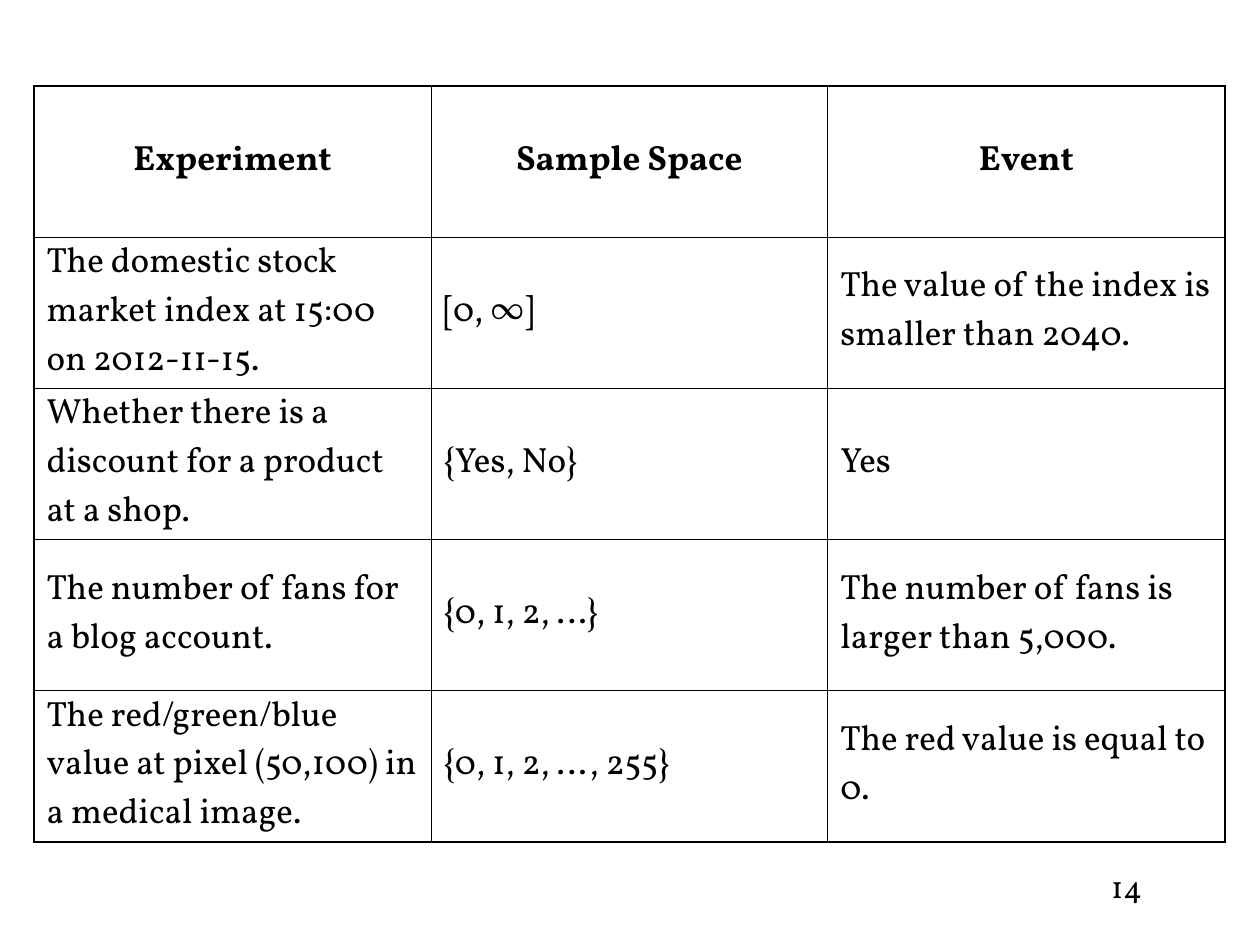
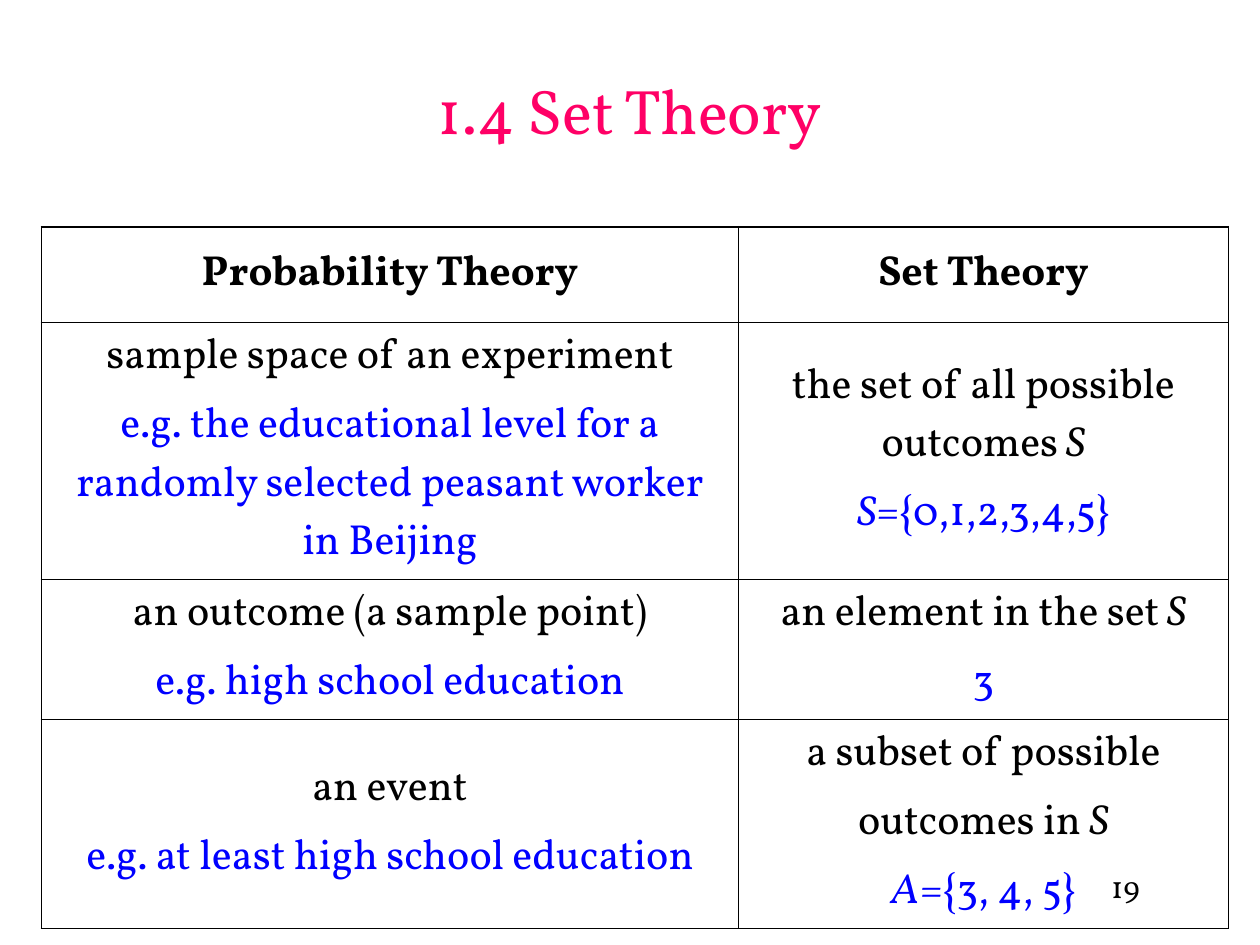
from lxml import etree
from pptx import Presentation
from pptx import util as u
from pptx.dml.color import RGBColor
from pptx.enum import text
from pptx.oxml import ns

COLOURS = {"ink": "000000", "title": "FF0066", "example": "0000FF"}
FONT = "Vollkorn"
OUTER, INNER = 1.08, 0.45

EXPERIMENTS = [
    ["Experiment", "Sample Space", "Event"],
    ["The domestic stock market index at 15:00 on 2012-11-15.", "[0, ∞]",
     "The value of the index is smaller than 2040."],
    ["Whether there is a discount for a product at a shop.", "{Yes, No}", "Yes"],
    ["The number of fans for a blog account.", "{0, 1, 2, …}",
     "The number of fans is larger than 5,000."],
    ["The red/green/blue value at pixel (50,100) in a medical image.",
     "{0, 1, 2, …, 255}", "The red value is equal to 0."],
]
SET_TERMS = [
    ["Probability Theory", "Set Theory"],
    ["sample space of an experiment\n"
     "e.g. the educational level for a randomly selected peasant worker in Beijing",
     "the set of all possible outcomes* S*\n*S*={0,1,2,3,4,5}"],
    ["an outcome (a sample point)\ne.g. high school education",
     "an element in the set* S*\n3"],
    ["an event\ne.g. at least high school education",
     "a subset of possible\noutcomes in *S*\n*A*={3, 4, 5}"],
]


def style(font, size, colour, bold=False, italic=False):
    """Apply the deck's typeface with the given size, colour and weight."""
    font.name, font.size = FONT, u.Pt(size)
    font.bold, font.italic = bold, italic
    font.color.rgb = RGBColor.from_string(COLOURS[colour])


def add_page_number(page, number):
    """Write the page number at the lower right."""
    box = page.shapes.add_textbox(u.Inches(8.72), u.Inches(6.83), u.Inches(1.2), u.Inches(0.46))
    box.text_frame.word_wrap = True
    box.text_frame.text = str(number)
    style(box.text_frame.paragraphs[0].runs[0].font, 18, "ink")


def set_title(page, words):
    """Place and format the title placeholder."""
    title = page.shapes.title
    title.left, title.top = u.Inches(0.75), u.Inches(0.42)
    title.width, title.height = u.Inches(8.5), u.Inches(0.89)
    frame = title.text_frame
    frame.text = words
    frame.auto_size = text.MSO_AUTO_SIZE.NONE
    frame.vertical_anchor = text.MSO_ANCHOR.MIDDLE
    frame.paragraphs[0].alignment = text.PP_ALIGN.CENTER
    style(frame.paragraphs[0].runs[0].font, 36, "title")


def set_borders(cell, widths):
    """Draw the cell's left, right, top and bottom lines, then clear its fill."""
    properties = cell._tc.get_or_add_tcPr()
    for side, width in zip("LRTB", widths):
        line = etree.SubElement(properties, ns.qn(f"a:ln{side}"), w=str(u.Pt(width)))
        fill = etree.SubElement(line, ns.qn("a:solidFill"))
        etree.SubElement(fill, ns.qn("a:srgbClr"), val=COLOURS["ink"])
    cell.fill.background()


def fill_cell(cell, words, size, bold, centred):
    """Write paragraphs, with starred spans in italics and a closing example in blue."""
    lines = words.split("\n")
    cell.text_frame.text = "\n".join("" for _ in lines)
    for index, (para, line) in enumerate(zip(cell.text_frame.paragraphs, lines)):
        para.alignment = text.PP_ALIGN.CENTER if centred else text.PP_ALIGN.LEFT
        if index:
            para.space_before = u.Pt(6)
        colour = "example" if 0 < index == len(lines) - 1 else "ink"
        for part, piece in enumerate(line.split("*")):
            if piece:
                span = para.add_run()
                span.text = piece
                style(span.font, size, colour, bold, part % 2 == 1)


def add_grid(page, left, top, widths, heights, rows, size, padding, centred):
    """Add a ruled table with a bold centred header row."""
    table = page.shapes.add_table(
        len(rows), len(widths), u.Inches(left), u.Inches(top),
        u.Inches(sum(widths)), u.Inches(sum(heights))).table
    table.first_row = table.horz_banding = False
    for column, width in zip(table.columns, widths):
        column.width = u.Inches(width)
    for row, height in zip(table.rows, heights):
        row.height = u.Inches(height)
    for r, row in enumerate(rows):
        for c, words in enumerate(row):
            cell = table.cell(r, c)
            cell.vertical_anchor = text.MSO_ANCHOR.MIDDLE
            cell.margin_left = cell.margin_right = u.Inches(0.1)
            cell.margin_top = cell.margin_bottom = u.Inches(padding)
            edges = (c == 0, c == len(row) - 1, r == 0, r == len(rows) - 1)
            set_borders(cell, [OUTER if edge else INNER for edge in edges])
            fill_cell(cell, words, size, r == 0, centred or r == 0)


def main():
    """Build the two table pages."""
    deck = Presentation()
    deck.slide_width, deck.slide_height = u.Inches(10), u.Inches(7.5)

    page = deck.slides.add_slide(deck.slide_layouts[6])
    add_page_number(page, 14)
    add_grid(page, 0.27, 0.68, [3.15] * 3, [1.2] * 5, EXPERIMENTS, 20, 0.01, False)

    page = deck.slides.add_slide(deck.slide_layouts[5])
    add_page_number(page, 19)
    set_title(page, "1.4 Set Theory")
    add_grid(page, 0.33, 1.8, [5.53, 3.89], [0.76, 2.04, 1.11, 1.66],
             SET_TERMS, 24, 0.05, True)

    deck.save("out.pptx")


if __name__ == "__main__":
    main()
